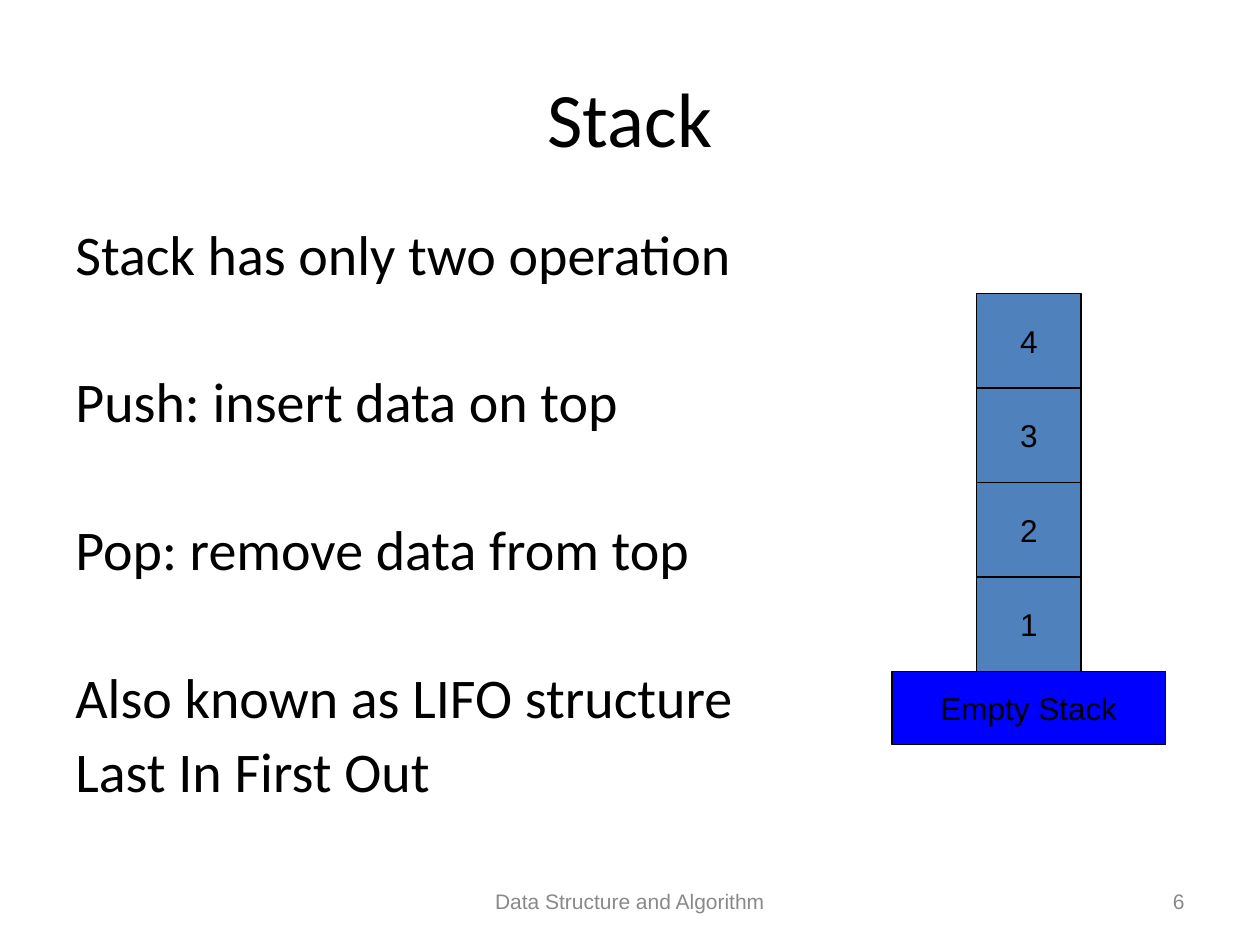
from dataclasses import dataclass

from pptx import Presentation
from pptx import util as u
from pptx.dml import color
from pptx.enum import shapes, text


@dataclass(frozen=True)
class Theme:
    ink: str = "000000"
    muted: str = "898989"
    item: str = "4F81BD"
    base: str = "0000FF"
    heading_font: str = "Calibri"
    label_font: str = "Arial"
    title_size: float = 44
    body_size: float = 32
    label_size: float = 18
    footer_size: float = 12
    line_gap: float = 7.4
    group_gap: float = 49.9


THEME = Theme()
ALIGN = text.PP_ALIGN
ANCHOR = text.MSO_ANCHOR


def rgb(value):
    return color.RGBColor.from_string(value)


def write(box, lines, *, size, font, ink=THEME.ink, align=ALIGN.CENTER,
          anchor=ANCHOR.MIDDLE, wrap=True, spacing=1.0, gaps=None):
    frame = box.text_frame
    frame.word_wrap = wrap
    frame.vertical_anchor = anchor
    for index, line in enumerate(lines):
        para = frame.add_paragraph() if index else frame.paragraphs[0]
        para.alignment = align
        para.line_spacing = spacing
        para.space_before = u.Pt(gaps[index] if gaps else 0)
        span = para.add_run()
        span.text = line
        span.font.size = u.Pt(size)
        span.font.name = font
        span.font.color.rgb = rgb(ink)


def add_text(page, area, lines, **style):
    box = page.shapes.add_textbox(*map(u.Inches, area))
    write(box, lines, **style)


def add_block(page, area, label, fill):
    box = page.shapes.add_shape(shapes.MSO_SHAPE.RECTANGLE, *map(u.Inches, area))
    box.shadow.inherit = False
    box.fill.solid()
    box.fill.fore_color.rgb = rgb(fill)
    box.line.color.rgb = rgb(THEME.ink)
    box.line.width = u.Pt(0.75)
    write(box, [label], size=THEME.label_size, font=THEME.label_font, wrap=False)


def add_title(page, area, title):
    add_text(page, area, [title], size=THEME.title_size, font=THEME.heading_font)


def add_operations(page, area, groups):
    lines = [line for group in groups for line in group]
    gaps = [THEME.line_gap if position else THEME.group_gap
            for group in groups for position in range(len(group))]
    gaps[0] = 0
    add_text(page, area, lines, size=THEME.body_size, font=THEME.heading_font,
             align=ALIGN.LEFT, anchor=ANCHOR.TOP, spacing=0.9, gaps=gaps)


def add_stack(page, area, base_label, items):
    left, top, width, height = area
    item_width, item_height = 0.83, 0.75
    base_top = top + item_height * len(items)
    item_left = left + (width - item_width) / 2
    for level, item in enumerate(items, start=1):
        add_block(page, (item_left, base_top - level * item_height,
                         item_width, item_height), item, THEME.item)
    add_block(page, (left, base_top, width, top + height - base_top),
              base_label, THEME.base)


def add_footer(page, area, course, number):
    left, top, width, height = area
    style = dict(size=THEME.footer_size, font=THEME.label_font, ink=THEME.muted)
    number_width, course_width = 2.33, 3.17
    add_text(page, (left + (width - course_width) / 2, top, course_width, height),
             [course], **style)
    add_text(page, (left + width - number_width, top, number_width, height),
             [number], align=ALIGN.RIGHT, **style)


def main():
    deck = Presentation()
    deck.slide_width, deck.slide_height = u.Inches(10), u.Inches(7.5)
    page = deck.slides.add_slide(deck.slide_layouts[6])
    add_title(page, (0.5, 0.3, 9, 1.25), "Stack")
    add_operations(page, (0.5, 1.75, 9, 4.95), [
        ["Stack has only two operation"],
        ["Push: insert data on top"],
        ["Pop: remove data from top"],
        ["Also known as LIFO structure", "Last In First Out"],
    ])
    add_stack(page, (7.08, 2.33, 2.17, 3.58), "Empty Stack", ["1", "2", "3", "4"])
    add_footer(page, (0.5, 6.95, 9, 0.4), "Data Structure and Algorithm", "6")
    deck.save("out.pptx")


if __name__ == "__main__":
    main()
